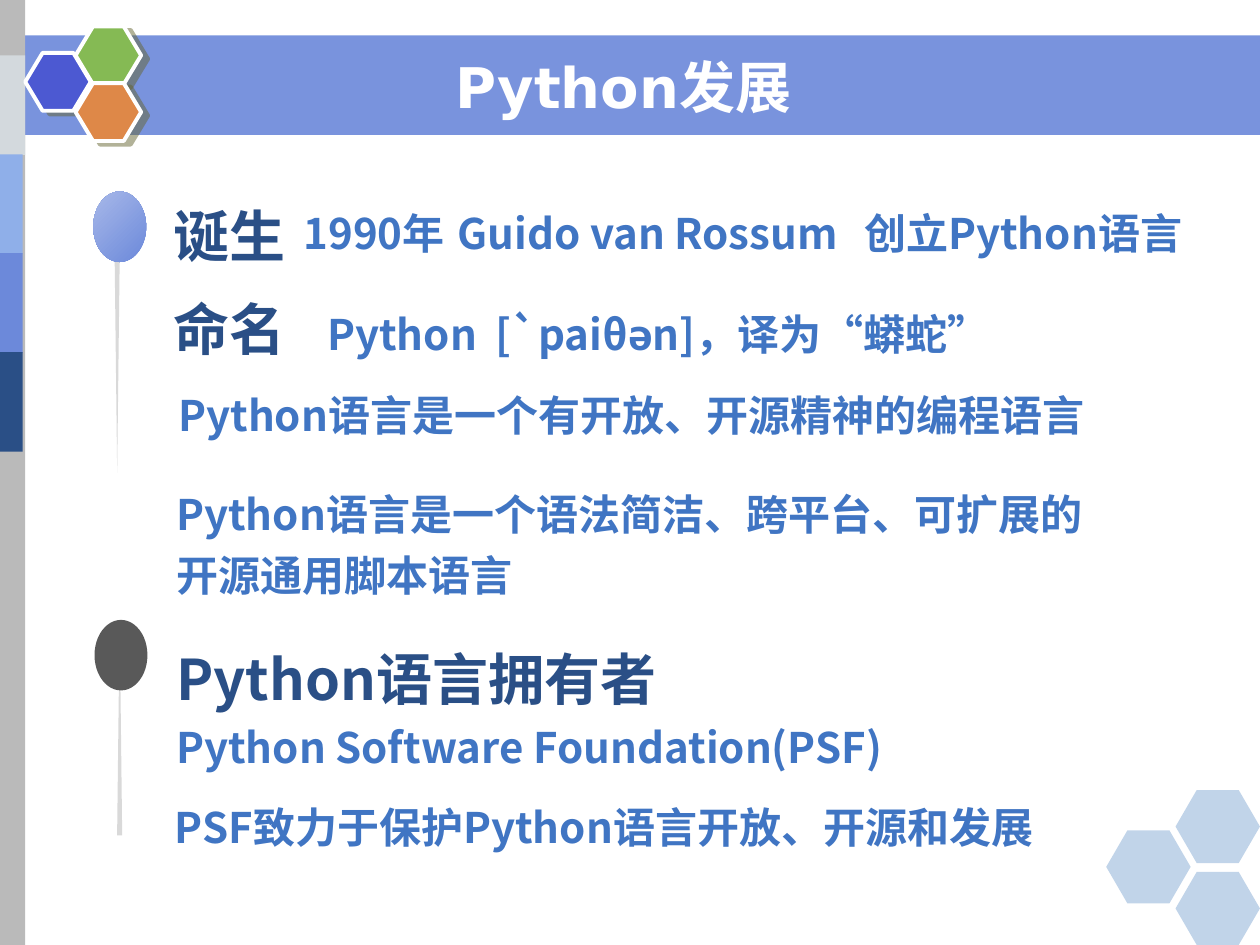
from lxml import etree
from pptx import Presentation
from pptx import util as u
from pptx.dml.color import RGBColor
from pptx.enum import shapes, text
from pptx.oxml import ns

COLS, ROWS = 100, 75

THEME = {
    "colors": {
        "band": "6C89DA", "rail": "BABABA", "mist": "D3D9DD", "sky": "8FAFE9",
        "navy": "2A4F86", "body": "4075C3", "white": "FFFFFF", "indigo": "4C59D2",
        "green": "85BA54", "orange": "DE8848", "corner": "5086C2", "stem": "D9D9D9",
        "glow": "A7B8E9", "dark": "595959", "shadow": "666633",
    },
    "fonts": {"title": "DejaVu Sans", "body": "Noto Sans CJK SC"},
    "styles": {
        "title": ("title", 32, "white"),
        "head": ("body", 32, "navy"),
        "body": ("body", 24, "body"),
    },
}

STRIPES = ["mist", "sky", "band", "navy"]
LOGO = [("indigo", 2, 4.2), ("green", 6, 2.1), ("orange", 6, 6.6)]
CORNER = [(87.8, 65.9), (93.3, 62.7), (93.3, 69.2)]
STEMS = [(9.1, 20.4, 180), (9.3, 49.2, 0)]
BALLS = [(7.4, 15.2, "band"), (7.5, 49.2, "dark")]
TITLE = ((12.5, 4.4, 75, 4.8), [("Python发展 ", "title")])
CENTRED = [
    ((34, 15.2, 34.8, 5.4), [("Guido van Rossum", "body")]),
    ((11.4, 14.4, 13.6, 6.9), [("诞生", "head")]),
    ((21.3, 15.2, 16.8, 5.4), [("1990年", "body")]),
    ((66.8, 15.2, 28.8, 5.4), [("创立Python语言", "body")]),
    ((23.8, 23.2, 56.9, 5.4), [("Python  [`paiθən]，译为“蟒蛇”", "body")]),
    ((11.4, 21.8, 13.6, 6.9), [("命名", "head")]),
    ((11.4, 29.6, 77.4, 5.4), [("Python语言是一个有开放、开源精神的编程语言", "body")]),
]
LEFT = [
    ((13, 37.5, 76.8, 10.3),
     [("Python语言是一个语法简洁、跨平台、可扩展的开源通用脚本语言", "body")]),
    ((13, 49.6, 86, 11.9),
     [("Python语言拥有者", "head"), ("Python Software Foundation(PSF)", "body")]),
    ((12.9, 62.3, 86, 5.4), [("PSF致力于保护Python语言开放、开源和发展", "body")]),
]

prs = Presentation()
prs.slide_width, prs.slide_height = u.Inches(10), u.Inches(7.5)
slide = prs.slides.add_slide(prs.slide_layouts[6])


def rgb(name):
    return RGBColor.from_string(THEME["colors"][name])


def grid(x, y, w, h):
    col, row = prs.slide_width / COLS, prs.slide_height / ROWS
    return [round(n) for n in (x * col, y * row, w * col, h * row)]


def add_alpha(color, percent):
    etree.SubElement(color, ns.qn("a:alpha"), val=str(percent * 1000))


def add_shape(kind, box, color, alpha=None):
    s = slide.shapes.add_shape(kind, *grid(*box))
    s.shadow.inherit = False
    s.fill.solid()
    s.fill.fore_color.rgb = rgb(color)
    s.line.fill.background()
    if alpha:
        add_alpha(s.element.spPr.find(ns.qn("a:solidFill"))[0], alpha)
    return s


def add_hexagon(box, color, adj, alpha=None):
    s = add_shape(shapes.MSO_SHAPE.HEXAGON, box, color, alpha)
    s.adjustments[0] = adj
    return s


def add_drop_shadow(s):
    effects = s.element.spPr.find(ns.qn("a:effectLst"))
    drop = etree.SubElement(effects, ns.qn("a:outerShdw"), dist=str(u.Pt(4.5)),
                            dir=str(27 * 60000), algn="ctr", rotWithShape="0")
    color = etree.SubElement(drop, ns.qn("a:srgbClr"), val=THEME["colors"]["shadow"])
    add_alpha(color, 50)


def add_text(box, lines, align, wrap, spacing=1.2):
    tf = slide.shapes.add_textbox(*grid(*box)).text_frame
    tf.word_wrap = wrap
    tf.auto_size = text.MSO_AUTO_SIZE.SHAPE_TO_FIT_TEXT
    tf.text = "\n".join(line for line, _ in lines)
    for p, (_, style) in zip(tf.paragraphs, lines):
        face, size, color = THEME["styles"][style]
        p.alignment, p.line_spacing = align, spacing
        for r in p.runs:
            r.font.name, r.font.size, r.font.bold = THEME["fonts"][face], u.Pt(size), True
            r.font.color.rgb = rgb(color)
            latin = r.font._element.find(ns.qn("a:latin"))
            ea = etree.Element(ns.qn("a:ea"), typeface=THEME["fonts"]["body"])
            latin.addnext(ea)
    return tf


RECT = shapes.MSO_SHAPE.RECTANGLE
add_shape(RECT, (0, 2.8, COLS, 7.9), "band", 91)
add_shape(RECT, (0, 0, 2, ROWS), "rail")
for i, color in enumerate(STRIPES):
    add_shape(RECT, (0, 4.4 + 7.85 * i, 1.8 if i else 2, 7.9), color)

for color, x, y in LOGO:
    s = add_hexagon((x, y, 5.2, 4.6), color, 0.3)
    s.line.color.rgb, s.line.width = rgb("white"), u.Pt(2.25)
    add_drop_shadow(s)
for x, y in CORNER:
    add_hexagon((x, y, 6.7, 5.8), "corner", 0.29, 35)

for x, y, turn in STEMS:
    s = add_shape(shapes.MSO_SHAPE.ISOSCELES_TRIANGLE, (x, y, 0.4, 17.1), "stem")
    s.rotation = turn
for x, y, color in BALLS:
    s = add_shape(shapes.MSO_SHAPE.OVAL, (x, y, 4.2, 5.6), color)
    if color == "band":
        s.fill.gradient()
        s.fill.gradient_angle = 135
        for stop, tone in zip(s.fill.gradient_stops, ("band", "glow")):
            stop.color.rgb = rgb(tone)

tf = add_text(*TITLE, text.PP_ALIGN.CENTER, True, 1.0)
tf.auto_size = text.MSO_AUTO_SIZE.NONE
tf.vertical_anchor = text.MSO_ANCHOR.MIDDLE
for box, lines in CENTRED:
    add_text(box, lines, text.PP_ALIGN.CENTER, False)
for box, lines in LEFT:
    add_text(box, lines, text.PP_ALIGN.LEFT, True)

prs.save("out.pptx")
